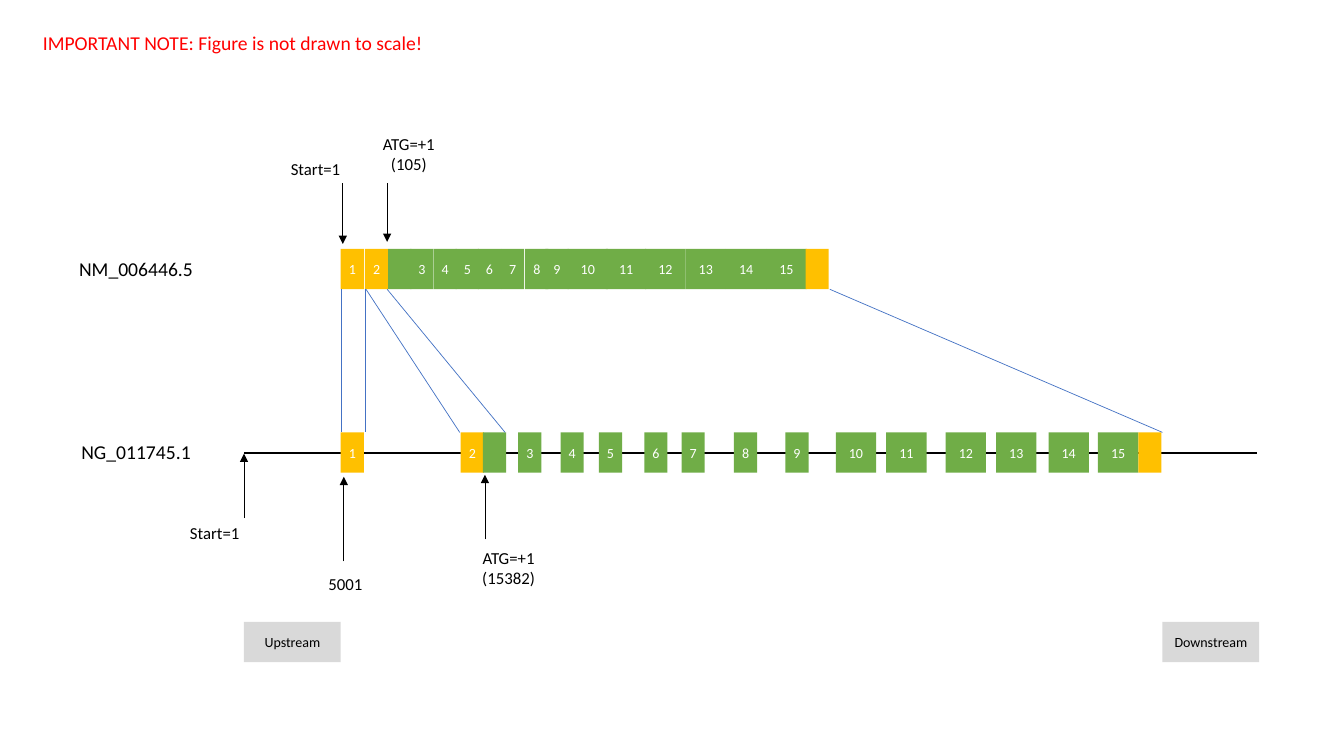
from lxml import etree
from pptx import Presentation
from pptx.dml.color import RGBColor
from pptx.enum.shapes import MSO_CONNECTOR, MSO_SHAPE
from pptx.enum.text import MSO_ANCHOR, MSO_AUTO_SIZE, PP_ALIGN
from pptx.oxml.ns import qn
from pptx.util import Inches, Pt

LINE = MSO_CONNECTOR.STRAIGHT
RECT = MSO_SHAPE.RECTANGLE
MID = MSO_ANCHOR.MIDDLE
GROW = MSO_AUTO_SIZE.SHAPE_TO_FIT_TEXT
CENTER = PP_ALIGN.CENTER

THEME = dict(
    font="Calibri", black="000000", white="FFFFFF", red="FF0000",
    blue="4472C4", gold="FFC000", green="70AD47", gray="D9D9D9",
    head=14, note=12, small=10, thin=0.5, thick=1.5,
)

NARROW, WIDE, HIGH = 0.23, 0.4, 0.4
END = 0.96
ORDER = ["1", "2", "", *map(str, range(3, 16)), ""]
GOLD = {0, 1, len(ORDER) - 1}
ROWS = [
    (4.29, [3.38, 4.57, 4.79, 5.14, 5.56, 5.94, 6.39, 6.76, 7.28, 7.79,
            8.29, 8.79, 9.38, 9.88, 10.4, 10.89, 11.29]),
    (2.47, [3.38, 3.62, 3.85, 4.07, 4.3, 4.52, 4.74, 4.97, 5.21, 5.41,
            5.63, 6.01, 6.4, 6.8, 7.2, 7.6, 7.99]),
]
AXIS = (2.42, 4.49, 12.47, 4.49)
LINKS = [(3.39, 3.39), (3.62, 3.62), (3.63, 4.56), (3.84, 5.01), (8.23, 11.53)]
ARROWS = [
    (2.42, 5.14, 4.5), (4.81, 5.35, 4.71), (3.41, 5.57, 4.73),
    (3.84, 1.82, 2.4), (3.4, 1.82, 2.42),
]
LABELS = [
    ("IMPORTANT NOTE: Figure is not drawn to scale!", 0.31, 0.26, 4, 0.34, "head", "red"),
    ("NM_006446.5", 0.68, 2.5, 1.34, 0.34, "head", "black"),
    ("NG_011745.1", 0.68, 4.32, 1.34, 0.34, "head", "black"),
    ("Start=1", 2.78, 1.53, 0.7, 0.3, "note", "black"),
    ("ATG=+1\n(105)", 3.69, 1.28, 0.73, 0.5, "note", "black"),
    ("Start=1", 1.78, 5.14, 0.7, 0.3, "note", "black"),
    ("5001", 3.15, 5.64, 0.55, 0.3, "note", "black"),
    ("ATG=+1\n(15382)", 4.68, 5.38, 0.73, 0.5, "note", "black"),
]
ENDS = [("Upstream", 2.42), ("Downstream", 11.53)]

deck = Presentation()
deck.slide_width, deck.slide_height = Inches(13.33), Inches(7.5)
slide = deck.slides.add_slide(deck.slide_layouts[6])
shapes = slide.shapes


def color(name):
    return RGBColor.from_string(THEME[name])


def write(frame, text, size, ink):
    frame.text = text
    for para in frame.paragraphs:
        para.alignment = CENTER
        for run in para.runs:
            run.font.name = THEME["font"]
            run.font.size = Pt(THEME[size])
            run.font.color.rgb = color(ink)


def box(text, x, y, w, fill, ink):
    item = shapes.add_shape(RECT, *map(Inches, (x, y, w, HIGH)))
    item.shadow.inherit = False
    item.fill.solid()
    item.fill.fore_color.rgb = color(fill)
    item.line.fill.background()
    if text:
        frame = item.text_frame
        frame.margin_left = frame.margin_right = 0
        frame.vertical_anchor = MID
        write(frame, text, "small", ink)


def line(x1, y1, x2, y2, ink="black", width="thin", arrow=False):
    item = shapes.add_connector(LINE, *map(Inches, (x1, y1, x2, y2)))
    item.line.color.rgb = color(ink)
    item.line.width = Pt(THEME[width])
    props = item._element.spPr
    if arrow:
        etree.SubElement(props.find(qn("a:ln")), qn("a:tailEnd"), type="triangle")
    etree.SubElement(props, qn("a:effectLst"))


def label(text, x, y, w, h, size, ink):
    frame = shapes.add_textbox(*map(Inches, (x, y, w, h))).text_frame
    frame.word_wrap = False
    frame.auto_size = GROW
    write(frame, text, size, ink)


line(*AXIS, width="thick")
for top, lefts in ROWS:
    for i, (name, left) in enumerate(zip(ORDER, lefts)):
        wide = name.isdigit() and int(name) > 9
        box(name, left, top, WIDE if wide else NARROW,
            "gold" if i in GOLD else "green", "white")

gene, trans = (top for top, _ in ROWS)
for start, stop in LINKS:
    line(start, trans + HIGH, stop, gene, "blue")
for x, start, stop in ARROWS:
    line(x, start, x, stop, arrow=True)
for item in LABELS:
    label(*item)
for name, left in ENDS:
    box(name, left, 6.17, END, "gray", "black")

deck.save("out.pptx")
